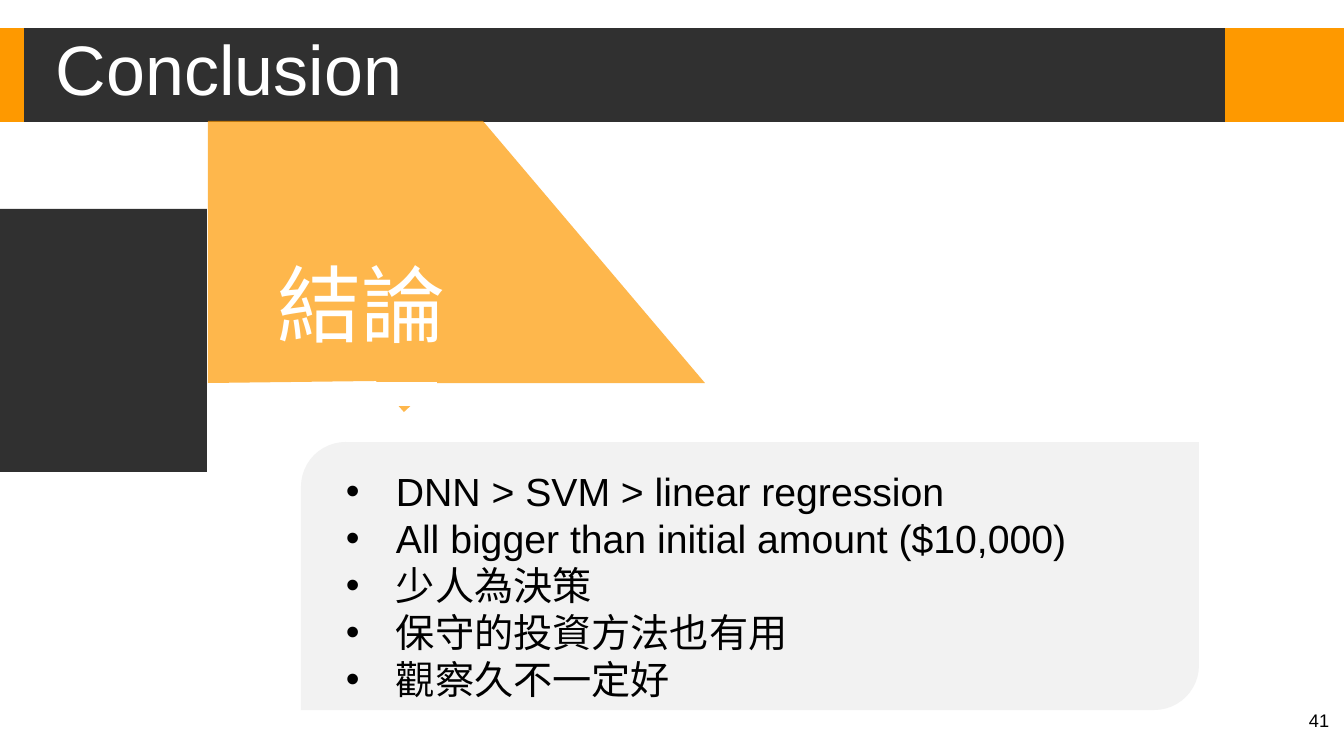
from lxml.etree import SubElement
from pptx import Presentation
from pptx.dml.color import RGBColor
from pptx.enum.shapes import MSO_SHAPE
from pptx.enum.text import MSO_ANCHOR, PP_ALIGN
from pptx.oxml.ns import qn
from pptx.util import Pt

PX = 914400 / 100.8
FONT = "Arial"
COLORS = {"dark": "303030", "orange": "FE9900", "white": "FFFFFF",
          "panel": "F2F2F2", "black": "000000"}

BARS = [
    ((0, 209, 207, 263), "dark"),
    ((1225, 28, 119, 94), "orange"),
    ((0, 28, 1225, 94), "dark"),
    ((0, 28, 24, 94), "orange"),
]
BANNER = [(208, 121), (483, 121), (705, 383), (435, 383),
          (404, 412), (376, 381), (208, 383)]
BANNER_OPACITY = 70
BANNER_GAP = (371, 382, 66, 24)
PANEL = (301, 442, 898, 268)

TITLE = ["Conclusion"]
HEADING = ["結論"]
POINTS = [
    "DNN > SVM > linear regression",
    "All bigger than initial amount ($10,000)",
    "少人為決策",
    "保守的投資方法也有用",
    "觀察久不一定好",
]
PAGE_NUMBER = ["41"]


def emu(pixels):
    return round(pixels * PX)


def paint(shape, color):
    shape.shadow.inherit = False
    shape.fill.solid()
    shape.fill.fore_color.rgb = RGBColor.from_string(COLORS[color])
    shape.line.fill.background()


def add_block(page, box, color, kind=MSO_SHAPE.RECTANGLE):
    shape = page.shapes.add_shape(kind, *map(emu, box))
    paint(shape, color)


def add_banner(page):
    builder = page.shapes.build_freeform(*BANNER[0], scale=PX)
    builder.add_line_segments(BANNER[1:], close=True)
    banner = builder.convert_to_shape()
    paint(banner, "orange")
    color = banner.fill._xPr.find(qn("a:solidFill"))[0]
    SubElement(color, qn("a:alpha"), val=str(BANNER_OPACITY * 1000))


def add_text(page, box, lines, size, color):
    frame = page.shapes.add_textbox(*map(emu, box)).text_frame
    frame.word_wrap = True
    frame.text = "\n".join(lines)
    for para in frame.paragraphs:
        para.font.name = FONT
        para.font.size = Pt(size)
        para.font.color.rgb = RGBColor.from_string(COLORS[color])
    return frame


def add_bullet(para, indent):
    properties = para._p.get_or_add_pPr()
    properties.set("marL", str(emu(indent)))
    properties.set("indent", str(-emu(indent)))
    bullet_font = SubElement(properties, qn("a:buFont"), typeface=FONT)
    bullet_font.addnext(properties.makeelement(qn("a:buChar"), {"char": "•"}))
    defaults = properties.find(qn("a:defRPr"))
    if defaults is not None:
        properties.append(defaults)


deck = Presentation()
deck.slide_width, deck.slide_height = emu(1344), emu(756)
page = deck.slides.add_slide(deck.slide_layouts[6])

for box, color in BARS:
    add_block(page, box, color)

title = add_text(page, (46, 35, 978, 80), TITLE, 50, "white")
title.vertical_anchor = MSO_ANCHOR.MIDDLE
title.paragraphs[0].line_spacing = 0.8

add_banner(page)
add_text(page, (268, 248, 267, 112), HEADING, 60, "white")
add_block(page, BANNER_GAP, "white")

number = add_text(page, (1258, 699, 81, 57), PAGE_NUMBER, 13, "black")
number.margin_top = number.margin_bottom = emu(10)
number.paragraphs[0].alignment = PP_ALIGN.RIGHT

add_block(page, PANEL, "panel", MSO_SHAPE.ROUND_2_DIAG_RECTANGLE)
points = add_text(page, (336, 462, 829, 271), POINTS, 28, "black")
for para in points.paragraphs:
    add_bullet(para, 50)

deck.save("out.pptx")
